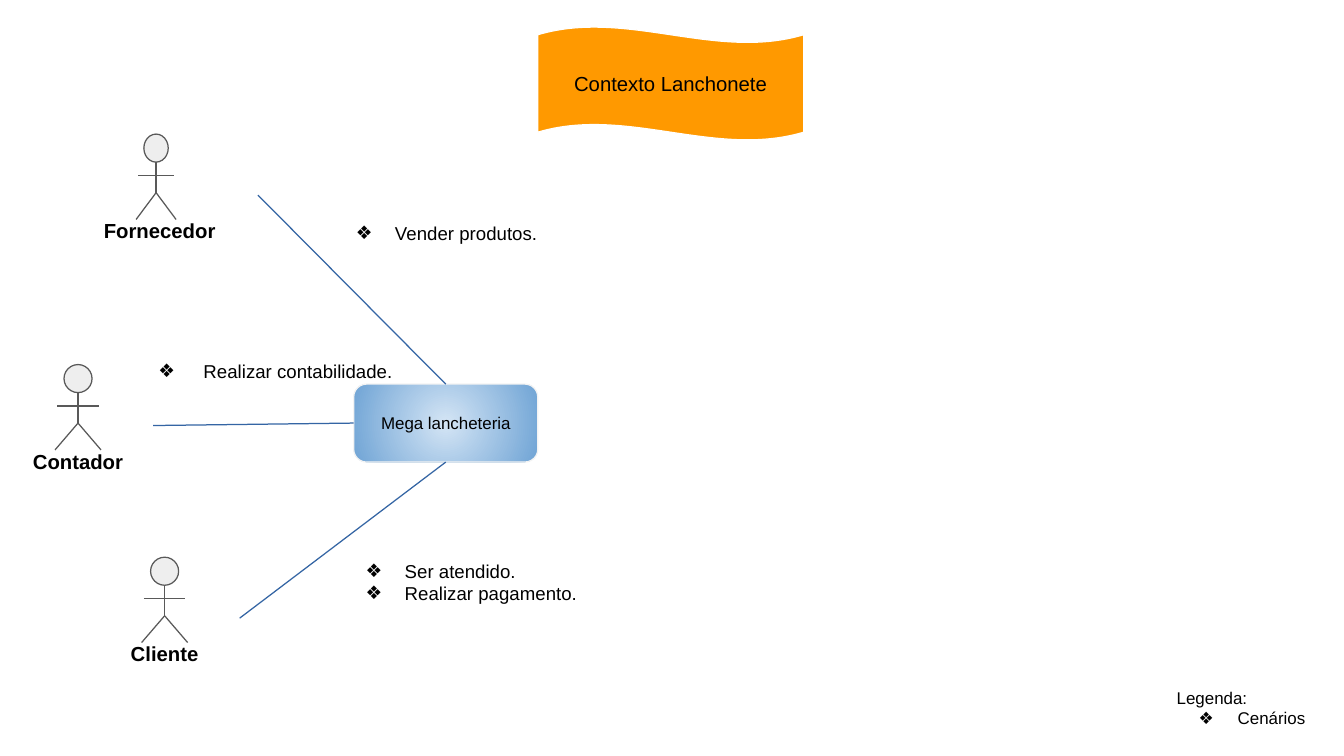
from lxml import etree
from pptx import Presentation
from pptx.dml.color import RGBColor
from pptx.enum.shapes import MSO_CONNECTOR as Line, MSO_SHAPE as Kind
from pptx.enum.text import MSO_ANCHOR as Anchor, PP_ALIGN as Align
from pptx.oxml import parse_xml
from pptx.oxml.ns import nsdecls, qn
from pptx.util import Inches, Pt

WIDE, HIGH = 11.02, 6.2
FONT, BLACK, GRAY, BLUE = "Arial", "000000", "595959", "3465A4"

TITLE = ("Contexto Lanchonete", (4.41, 0.22, 2.18, 0.93))
SYSTEM = ("Mega lancheteria", (2.9, 3.15, 1.51, 0.64))
# name, middle of figure, top, head width, middle of label, label width, side of system
ACTORS = [
    ("Contador", 0.64, 2.99, 0.23, 0.64, 1.23, 1),
    ("Fornecedor", 1.28, 1.1, 0.2, 1.31, 1.61, 0),
    ("Cliente", 1.35, 4.57, 0.23, 1.35, 1.23, 2),
]
# place, size, text indent, heading, bulleted lines
LISTS = [
    ((2.64, 1.73, 3.65, 1.35), 11, 0.5, None, ["Vender produtos."]),
    ((2.72, 4.49, 3.65, 1), 11, 0.5, None, ["Ser atendido.", "Realizar pagamento."]),
    ((1.02, 2.86, 3.65, 1), 11, 0.55, None, ["Realizar contabilidade."]),
    ((9.55, 5.54, 1.39, 0.57), 10, 0.5, "Legenda:", ["Cenários"]),
]
BULLET = 0.18  # distance of the bullet from the text margin
# limbs: x as shares of the head width, y in inches below the head's top
HEAD, ARM, HIP, FOOT, LABEL = 0.23, 0.34, 0.48, 0.7, 0.59
LIMBS = [
    (0, HEAD, 0, HIP),
    (-0.74, ARM, 0.74, ARM),
    (0, HIP, -0.82, FOOT),
    (0, HIP, 0.82, FOOT),
]


def color(code):
    return RGBColor.from_string(code)


def write(frame, text, size, bold=False, align=Align.LEFT, first=True):
    """Add one paragraph and return it."""
    para = frame.paragraphs[0] if first else frame.add_paragraph()
    para.alignment = align
    run = para.add_run()
    run.text = text
    font = run.font
    font.name, font.size, font.bold = FONT, Pt(size), bold
    font.color.rgb = color(BLACK)
    return para


def pad(frame, anchor=Anchor.TOP):
    frame.word_wrap = True
    frame.vertical_anchor = anchor
    frame.margin_left = frame.margin_right = Inches(0.1)
    frame.margin_top = frame.margin_bottom = Inches(0.1)


def add_text(shapes, place):
    frame = shapes.add_textbox(*map(Inches, place)).text_frame
    pad(frame)
    return frame


def add_form(shapes, kind, place, edge, fill=None):
    form = shapes.add_shape(kind, *map(Inches, place))
    form.shadow.inherit = False
    form.line.color.rgb = color(edge)
    form.line.width = Pt(0.75)
    if fill:
        form.fill.solid()
        form.fill.fore_color.rgb = color(fill)
    return form


def add_line(shapes, ends, tint):
    line = shapes.add_connector(Line.STRAIGHT, *map(Inches, ends))
    line.line.color.rgb = color(tint)
    line.line.width = Pt(0.75)
    etree.SubElement(line.element.spPr, qn("a:effectLst"))
    return line


def add_bullet(para, indent):
    props = para._p.get_or_add_pPr()
    props.set("marL", str(Inches(indent)))
    props.set("indent", str(Inches(BULLET - indent)))
    tint = etree.SubElement(props, qn("a:buClr"))
    etree.SubElement(tint, qn("a:srgbClr"), val=BLACK)
    etree.SubElement(props, qn("a:buFont"), typeface=FONT)
    etree.SubElement(props, qn("a:buChar"), char="❖")


def glow(form, inner, outer):
    """Fill with a gradient that spreads from the middle."""
    form.fill.gradient()
    for stop, code in zip(form.fill.gradient_stops, (inner, outer)):
        stop.color.rgb = color(code)
    grad = form.element.spPr.find(qn("a:gradFill"))
    grad.replace(grad.find(qn("a:lin")), parse_xml(
        f'<a:path {nsdecls("a")} path="circle">'
        '<a:fillToRect l="50000" t="50000" r="50000" b="50000"/></a:path>'))


def add_actor(shapes, name, mid, top, head, center, width):
    """Draw a stick figure with its name; return where its link starts."""
    group = shapes.add_group_shape().shapes
    add_form(group, Kind.FLOWCHART_CONNECTOR,
             (mid - head / 2, top, head, HEAD), GRAY, "EEEEEE")
    for x1, y1, x2, y2 in LIMBS:
        add_line(group, (mid + x1 * head, top + y1, mid + x2 * head, top + y2), GRAY)
    left = center - width / 2
    frame = add_text(group, (left, top + LABEL, width, 0.41))
    write(frame, name, 12, True, Align.CENTER)
    return left + width, top + 0.5


def main():
    deck = Presentation()
    deck.slide_width, deck.slide_height = Inches(WIDE), Inches(HIGH)
    shapes = deck.slides.add_slide(deck.slide_layouts[6]).shapes

    text, place = TITLE
    banner = add_form(shapes, Kind.WAVE, place, "FFFFFF", "FF9900")
    banner.adjustments[0] = 0.07
    pad(banner.text_frame, Anchor.MIDDLE)
    write(banner.text_frame, text, 12, align=Align.CENTER)

    text, place = SYSTEM
    system = add_form(shapes, Kind.ROUNDED_RECTANGLE, place, "F3F3F3")
    glow(system, "D4E5F5", "70A4D5")
    pad(system.text_frame, Anchor.MIDDLE)
    write(system.text_frame, text, 10, align=Align.CENTER)

    for *actor, side in ACTORS:
        start = add_actor(shapes, *actor)
        add_line(shapes, start + start, BLUE).end_connect(system, side)

    for place, size, indent, heading, items in LISTS:
        frame = add_text(shapes, place)
        if heading:
            write(frame, heading, size)
        for i, item in enumerate(items):
            para = write(frame, item, size, first=not heading and i == 0)
            add_bullet(para, indent)

    deck.save("out.pptx")


if __name__ == "__main__":
    main()
